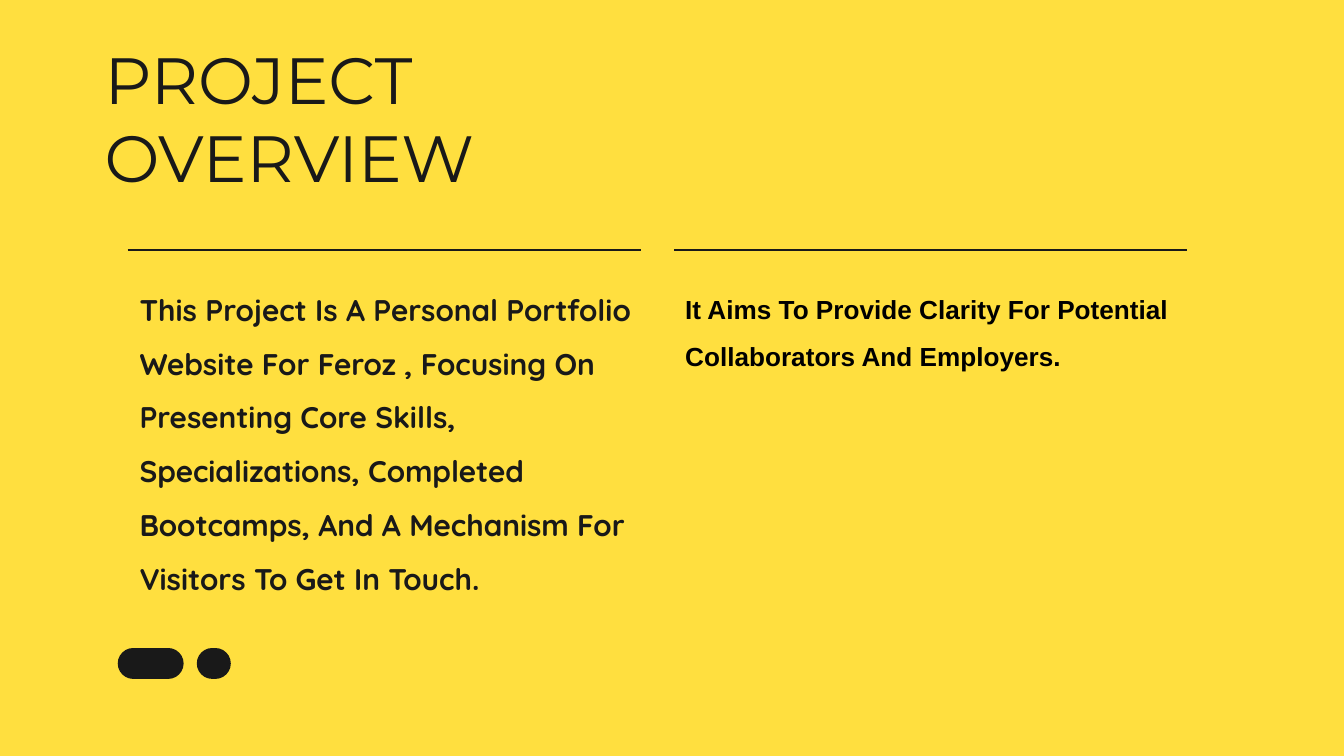
from lxml.etree import SubElement
from pptx import Presentation
from pptx.dml.color import RGBColor
from pptx.enum.shapes import MSO_CONNECTOR, MSO_SHAPE
from pptx.enum.text import MSO_ANCHOR, PP_ALIGN
from pptx.oxml.ns import qn
from pptx.util import Inches, Pt

YELLOW = RGBColor(0xFF, 0xDF, 0x3F)
CHARCOAL = RGBColor(0x19, 0x19, 0x19)
BLACK = RGBColor(0x00, 0x00, 0x00)
CELL = Inches(0.1)


def cells(*counts):
    return [round(count * CELL) for count in counts]


def write_text(frame, text, font="Quicksand", size=16, color=CHARCOAL, bold=False, spacing=1.0):
    paragraph = frame.paragraphs[0]
    paragraph.alignment = PP_ALIGN.LEFT
    paragraph.line_spacing = spacing
    run = paragraph.add_run()
    run.text = text
    run.font.name = font
    run.font.size = Pt(size)
    run.font.bold = bold
    run.font.color.rgb = color


class OverviewSlide:
    ink = CHARCOAL
    rule_width = Pt(0.75)

    def __init__(self, presentation):
        self.slide = presentation.slides.add_slide(presentation.slide_layouts[6])
        fill = self.slide.background.fill
        fill.solid()
        fill.fore_color.rgb = YELLOW

    def text(self, text, column, row, columns, rows, anchor=MSO_ANCHOR.TOP, inset=1, **text_format):
        shape = self.slide.shapes.add_textbox(*cells(column, row, columns, rows))
        frame = shape.text_frame
        frame.word_wrap = True
        frame.vertical_anchor = anchor
        frame.margin_left, frame.margin_right = cells(1, 1)
        frame.margin_top, frame.margin_bottom = cells(inset, inset)
        write_text(frame, text, **text_format)

    def rule(self, column, row, columns):
        connector = self.slide.shapes.add_connector(
            MSO_CONNECTOR.STRAIGHT, *cells(column, row, column + columns, row))
        connector.line.color.rgb = self.ink
        connector.line.width = self.rule_width
        SubElement(connector._element.spPr, qn("a:effectLst"))

    def pill(self, group, column, row, columns, rows):
        shape = group.shapes.add_shape(
            MSO_SHAPE.ROUNDED_RECTANGLE, *cells(column, row, columns, rows))
        shape.adjustments[0] = 0.5
        shape.shadow.inherit = False
        shape.fill.solid()
        shape.fill.fore_color.rgb = self.ink
        shape.line.fill.background()

    def pills(self, row, rows, spans):
        group = self.slide.shapes.add_group_shape()
        for column, columns in spans:
            self.pill(group, column, row, columns, rows)


def main():
    presentation = Presentation()
    presentation.slide_width = Inches(10)
    presentation.slide_height = presentation.slide_width * 9 // 16
    overview = OverviewSlide(presentation)

    overview.text("PROJECT OVERVIEW", 6.8, 3.6, 43.2, 10.3,
                  anchor=MSO_ANCHOR.MIDDLE, font="Montserrat", size=35)
    for column in (9.5, 50.15):
        overview.rule(column, 18.6, 38.2)
    overview.text(
        "This Project Is A Personal Portfolio Website For Feroz , Focusing On "
        "Presenting Core Skills, Specializations, Completed Bootcamps, "
        "And A Mechanism For Visitors To Get In Touch.",
        9.4, 19.37, 40.6, 20.9, bold=True, spacing=1.5)
    overview.text(
        "It Aims To Provide Clarity For Potential Collaborators And Employers.",
        50, 20.2, 41.7, 7.6, inset=0.5,
        font="Arial", size=14, color=BLACK, bold=True, spacing=1.5)
    overview.pills(48.22, 2.3, [(8.76, 4.9), (14.64, 2.53)])

    presentation.save("out.pptx")


if __name__ == "__main__":
    main()
